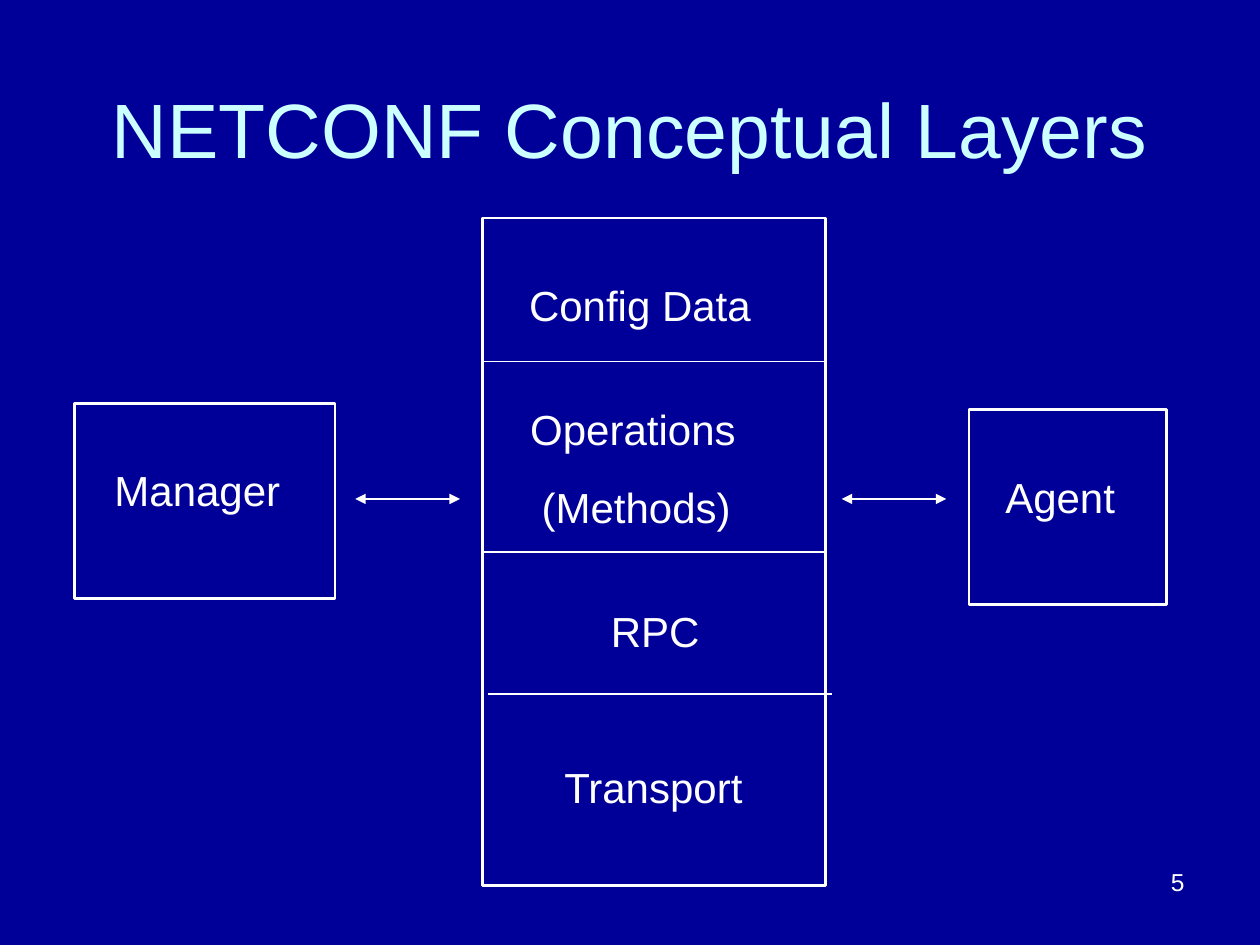
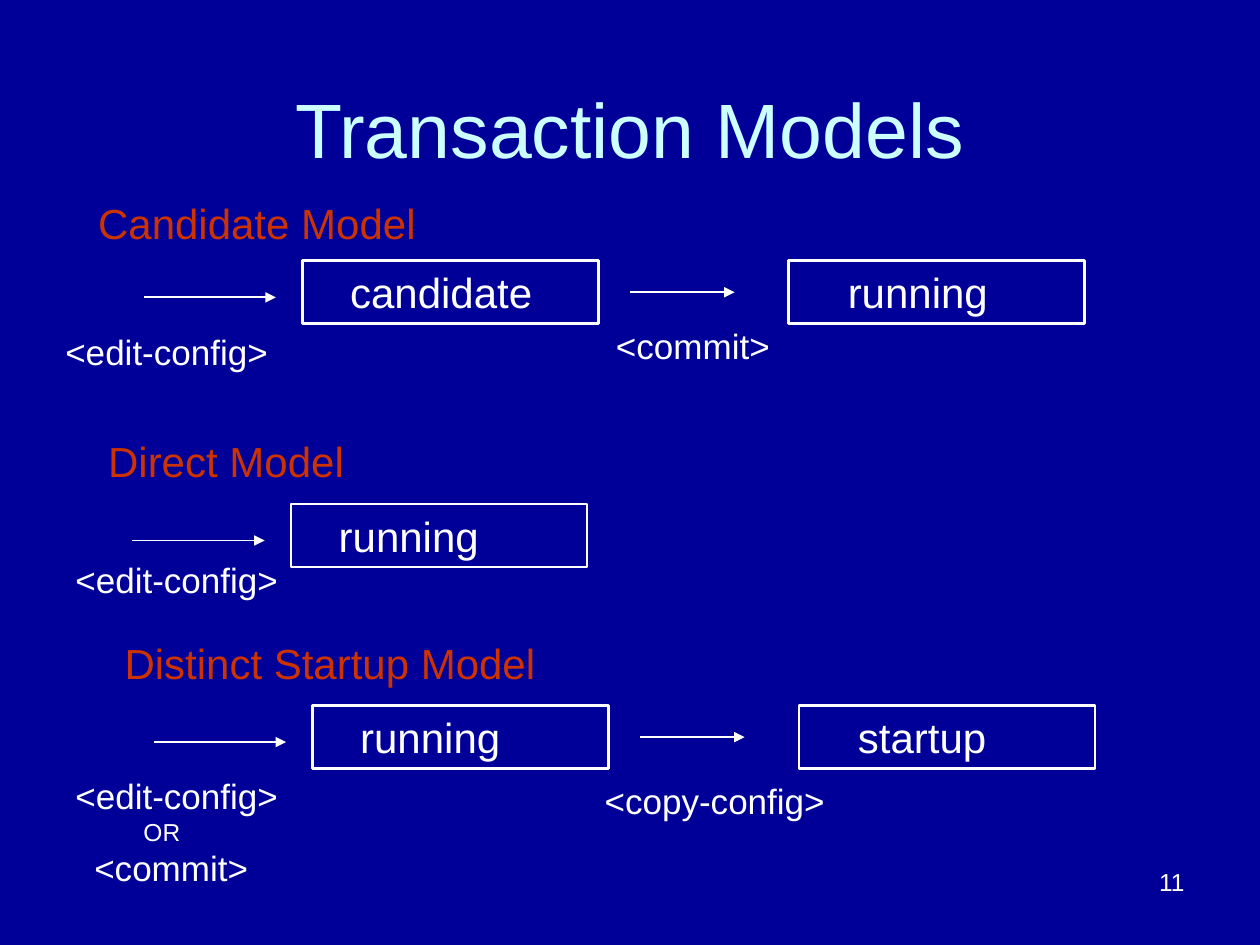
from dataclasses import dataclass

from lxml import etree
from pptx import Presentation
from pptx.dml.color import RGBColor
from pptx.enum.shapes import MSO_CONNECTOR as Connector, MSO_SHAPE as Shape
from pptx.enum.text import MSO_ANCHOR as Anchor, PP_ALIGN as Align
from pptx.oxml.ns import qn
from pptx.util import Inches, Pt


@dataclass(frozen=True)
class Theme:
    font: str = "Arial"
    background: RGBColor = RGBColor(0x00, 0x00, 0x99)
    title: RGBColor = RGBColor(0xCC, 0xFF, 0xFF)
    text: RGBColor = RGBColor(0xFF, 0xFF, 0xFF)
    heading: RGBColor = RGBColor(0xCC, 0x33, 0x00)
    title_size: int = 44
    body_size: int = 24
    label_size: int = 20
    small_size: int = 14
    box_line: float = 1.5
    thin_line: float = 1


@dataclass(frozen=True)
class Line:
    """One paragraph: indent in inches, space before in points."""
    text: str
    indent: float = 0
    before: float = 0
    size: int = Theme.body_size
    color: RGBColor = Theme.text


THEME = Theme()


def format_runs(paragraph, size, color):
    for run in paragraph.runs:
        run.font.name = THEME.font
        run.font.size = Pt(size)
        run.font.color.rgb = color


def write_lines(text_frame, lines, align=Align.LEFT):
    for index, line in enumerate(lines):
        paragraph = text_frame.paragraphs[0] if index == 0 else text_frame.add_paragraph()
        paragraph.text = line.text
        paragraph.alignment = align
        paragraph.space_before = Pt(line.before)
        properties = paragraph._p.get_or_add_pPr()
        properties.set("marL", str(Inches(line.indent)))
        properties.set("indent", "0")
        format_runs(paragraph, line.size, line.color)


def add_titled_slide(presentation, title, number):
    slide = presentation.slides.add_slide(presentation.slide_layouts[5])
    placeholder = slide.shapes.title
    placeholder.left, placeholder.top = Inches(0.5), Inches(0.41)
    placeholder.width, placeholder.height = Inches(9), Inches(1.02)
    text_frame = placeholder.text_frame
    text_frame.text = title
    text_frame.vertical_anchor = Anchor.BOTTOM
    paragraph = text_frame.paragraphs[0]
    paragraph.alignment = Align.CENTER
    format_runs(paragraph, THEME.title_size, THEME.title)
    add_text(slide, 7.17, 6.83, 2.33, 0.52,
             [Line(str(number), size=THEME.small_size)], Align.RIGHT)
    return slide


def add_text(slide, left, top, width, height, lines, align=Align.LEFT):
    box = slide.shapes.add_textbox(Inches(left), Inches(top), Inches(width), Inches(height))
    box.text_frame.word_wrap = align == Align.RIGHT
    write_lines(box.text_frame, lines, align)


def add_box(slide, left, top, width, height, lines, top_inset=0.05):
    box = slide.shapes.add_shape(
        Shape.RECTANGLE, Inches(left), Inches(top), Inches(width), Inches(height))
    box.shadow.inherit = False
    box.fill.background()
    box.line.color.rgb = THEME.text
    box.line.width = Pt(THEME.box_line)
    text_frame = box.text_frame
    text_frame.word_wrap = True
    text_frame.vertical_anchor = Anchor.TOP
    text_frame.margin_top = Inches(top_inset)
    write_lines(text_frame, lines)


def add_line(slide, start, end, y, arrow_ends=()):
    """Draw a level line; arrow_ends may hold headEnd and tailEnd."""
    line = slide.shapes.add_connector(
        Connector.STRAIGHT, Inches(start), Inches(y), Inches(end), Inches(y))
    line.line.color.rgb = THEME.text
    line.line.width = Pt(THEME.thin_line)
    outline = line.line._get_or_add_ln()
    for arrow_end in arrow_ends:
        etree.SubElement(outline, qn(f"a:{arrow_end}"), type="triangle")
    etree.SubElement(line._element.spPr, qn("a:effectLst"))


def add_label(slide, left, top, width, text):
    add_text(slide, left, top, width, 0.44, [Line(text, size=THEME.label_size)])


def add_model(slide, heading, heading_left, heading_top, heading_width, left, top, stores):
    """Draw a heading and a chain of data stores, each entered by an arrow."""
    add_text(slide, heading_left, heading_top, heading_width, 0.5,
             [Line(heading, color=THEME.heading)])
    add_line(slide, left - 1.26, left - 0.21, top + 0.29, ["tailEnd"])
    for index, store in enumerate(stores):
        add_box(slide, left + 3.86 * index, top, 2.35, 0.5,
                [Line(store, 0.28 + 0.09 * index)])
    if len(stores) > 1:
        add_line(slide, left + 2.6, left + 3.43, top + 0.25, ["tailEnd"])


def add_layers_slide(presentation):
    slide = add_titled_slide(presentation, "NETCONF Conceptual Layers", 5)
    top_inset = 0.49
    add_box(slide, 0.59, 3.2, 2.07, 1.55, [Line("Manager", 0.22)], top_inset)
    add_box(slide, 7.69, 3.25, 1.57, 1.55, [Line("Agent", 0.19)], top_inset)
    layers = [
        Line("Config Data", 0.27),
        Line("Operations", 0.28, 42),
        Line("(Methods)", 0.37, 16),
        Line("RPC", 0.92, 42),
        Line("Transport", 0.55, 60),
    ]
    add_box(slide, 3.83, 1.73, 2.72, 5.3, layers, top_inset)
    for left, y in ((3.82, 2.87), (3.82, 4.38), (3.87, 5.51)):
        add_line(slide, left, left + 2.73, y)
    for left in (2.82, 6.68):
        add_line(slide, left, left + 0.83, 3.96, ["headEnd", "tailEnd"])


def add_transactions_slide(presentation):
    slide = add_titled_slide(presentation, "Transaction Models", 11)
    add_model(slide, "Candidate Model", 0.68, 1.52, 2.72, 2.4, 2.07, ["candidate", "running"])
    add_model(slide, "Direct Model", 0.76, 3.41, 2.07, 2.31, 4, ["running"])
    add_model(slide, "Distinct Startup Model", 0.89, 5.01, 3.46, 2.48, 5.6,
              ["running", "startup"])
    add_label(slide, 0.42, 2.57, 1.81, "<edit-config>")
    add_label(slide, 4.79, 2.53, 1.42, "<commit>")
    add_label(slide, 0.5, 4.38, 1.81, "<edit-config>")
    add_label(slide, 4.7, 6.14, 1.95, "<copy-config>")
    add_text(slide, 0.5, 6.1, 1.81, 1.1, [
        Line("<edit-config>", size=THEME.label_size),
        Line("OR", 0.54, size=THEME.small_size),
        Line("<commit>", 0.15, size=THEME.label_size),
    ])


def main():
    presentation = Presentation()
    presentation.slide_width, presentation.slide_height = Inches(10), Inches(7.5)
    background = presentation.slide_master.background.fill
    background.solid()
    background.fore_color.rgb = THEME.background
    add_layers_slide(presentation)
    add_transactions_slide(presentation)
    presentation.save("out.pptx")


if __name__ == "__main__":
    main()
